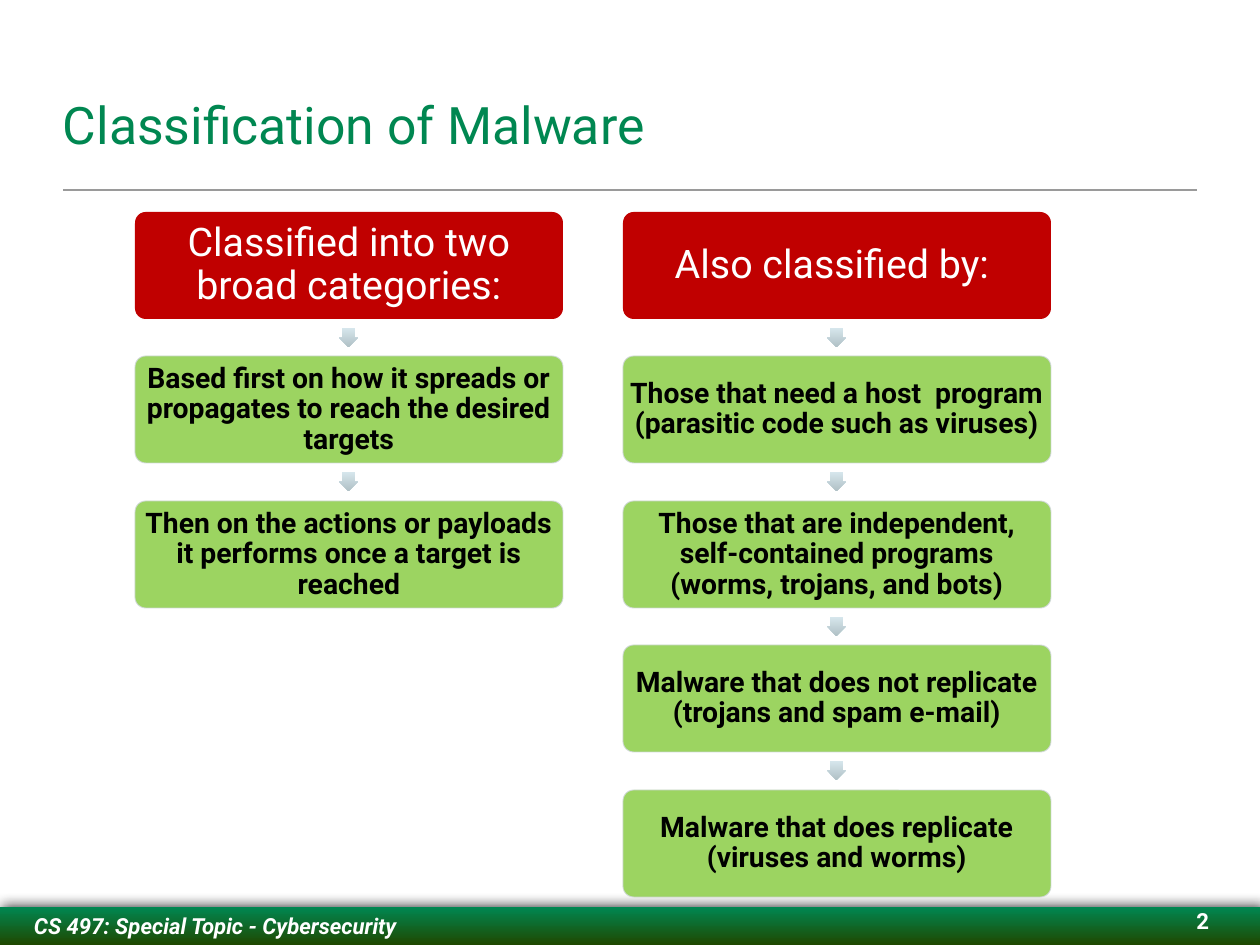
import pptx
import pptx.util
import pptx.dml.color
import pptx.enum.shapes
import pptx.enum.text
import pptx.oxml
import pptx.oxml.ns
from dataclasses import dataclass
from lxml import etree

PX = 10320
SHAPE = pptx.enum.shapes.MSO_SHAPE
ALIGN = pptx.enum.text.PP_ALIGN
ANCHOR = pptx.enum.text.MSO_ANCHOR
qn = pptx.oxml.ns.qn
rgb = pptx.dml.color.RGBColor.from_string


@dataclass(frozen=True)
class Theme:
    font: str = "Roboto"
    green: str = "008751"
    dark_green: str = "1F4800"
    red: str = "C00000"
    lime: str = "92D050"
    outline: str = "D1D8DA"
    rule: str = "9A9A9A"
    arrow_top: str = "D6E6EC"
    arrow_bottom: str = "B1C1C6"
    white: str = "FFFFFF"
    black: str = "000000"
    title: int = 42
    heading: int = 32
    body: int = 23
    footer: int = 18


theme = Theme()


def write(s, text, size, color, align=ALIGN.LEFT, anchor=ANCHOR.MIDDLE,
          margin=0, spacing=1.0, bold=False, italic=False, wrap=True):
    tf = s.text_frame
    tf.word_wrap = wrap
    tf.vertical_anchor = anchor
    tf.margin_left = tf.margin_right = margin * PX
    tf.margin_top = tf.margin_bottom = margin * PX
    p = tf.paragraphs[0]
    p.alignment = align
    p.line_spacing = spacing
    r = p.add_run()
    r.text = text
    r.font.name = theme.font
    r.font.size = pptx.util.Pt(size)
    r.font.color.rgb = rgb(color)
    r.font.bold = bold
    r.font.italic = italic


def shade(s, top, bottom):
    s.shadow.inherit = False
    s.line.fill.background()
    s.fill.gradient()
    s.fill.gradient_angle = 270
    for stop, color in zip(s.fill.gradient_stops, (top, bottom)):
        stop.color.rgb = rgb(color)


prs = pptx.Presentation()
prs.slide_width = 1260 * PX
prs.slide_height = 945 * PX
sp = prs.slides.add_slide(prs.slide_layouts[6]).shapes

rule = sp.add_connector(pptx.enum.shapes.MSO_CONNECTOR.STRAIGHT,
                        63 * PX, 190 * PX, 1197 * PX, 190 * PX)
rule.line.color.rgb = rgb(theme.rule)
rule.line.width = pptx.util.Pt(1)
etree.SubElement(rule._element.spPr, qn("a:effectLst"))

bar = sp.add_shape(SHAPE.RECTANGLE, 0, 907 * PX, 1260 * PX, 38 * PX)
shade(bar, theme.green, theme.dark_green)
bar._element.spPr.find(qn("a:effectLst")).append(pptx.oxml.parse_xml(
    f'<a:outerShdw {pptx.oxml.ns.nsdecls("a")} blurRad="127000" dist="25400" dir="18900000">'
    f'<a:srgbClr val="{theme.black}"><a:alpha val="75000"/></a:srgbClr></a:outerShdw>'))
write(bar, "CS 497: Special Topic - Cybersecurity", theme.footer, theme.white,
      bold=True, italic=True)
bar.text_frame.margin_left = 34 * PX

title = sp.add_textbox(63 * PX, 0, 1134 * PX, 155 * PX)
write(title, "Classification of Malware", theme.title, theme.green, anchor=ANCHOR.BOTTOM)

columns = [
    (135, ["Classified into two broad categories:",
           "Based first on how it spreads or propagates to reach the desired targets",
           "Then on the actions or payloads it performs once a target is reached"]),
    (623, ["Also classified by: ",
           "Those that need a host  program (parasitic code such as viruses)",
           "Those that are independent, self-contained programs (worms, trojans, and bots)",
           "Malware that does not replicate (trojans and spam e-mail)",
           "Malware that does replicate (viruses and worms)"]),
]
BOX_W, BOX_H, ARROW = 428, 107, 19

for left, texts in columns:
    for i, text in enumerate(texts):
        top = 212 + i * 578 // 4
        s = sp.add_shape(SHAPE.ROUNDED_RECTANGLE, left * PX, top * PX, BOX_W * PX, BOX_H * PX)
        s.adjustments[0] = 0.1
        s.shadow.inherit = False
        s.fill.solid()
        if i == 0:
            s.fill.fore_color.rgb = rgb(theme.red)
            s.line.fill.background()
            write(s, text, theme.heading, theme.white, ALIGN.CENTER, margin=3, spacing=0.9)
        else:
            s.fill.fore_color.rgb = rgb(theme.lime)
            s.line.color.rgb = rgb(theme.outline)
            s.line.width = pptx.util.Pt(0.75)
            for color in s._element.spPr.iter(qn("a:srgbClr")):
                etree.SubElement(color, qn("a:alpha")).set("val", "90000")
            write(s, text, theme.body, theme.black, ALIGN.CENTER, margin=3, spacing=0.9, bold=True)
        if i < len(texts) - 1:
            arrow = sp.add_shape(SHAPE.DOWN_ARROW, (left + (BOX_W - ARROW) // 2) * PX,
                                 (top + BOX_H + 9) * PX, ARROW * PX, ARROW * PX)
            arrow.adjustments[0] = 0.667
            arrow.adjustments[1] = 0.5
            shade(arrow, theme.arrow_top, theme.arrow_bottom)

number = sp.add_textbox(1186 * PX, 907 * PX, 23 * PX, 27 * PX)
write(number, "2", theme.footer, theme.white, ALIGN.RIGHT, ANCHOR.TOP, bold=True, wrap=False)

prs.save("out.pptx")
